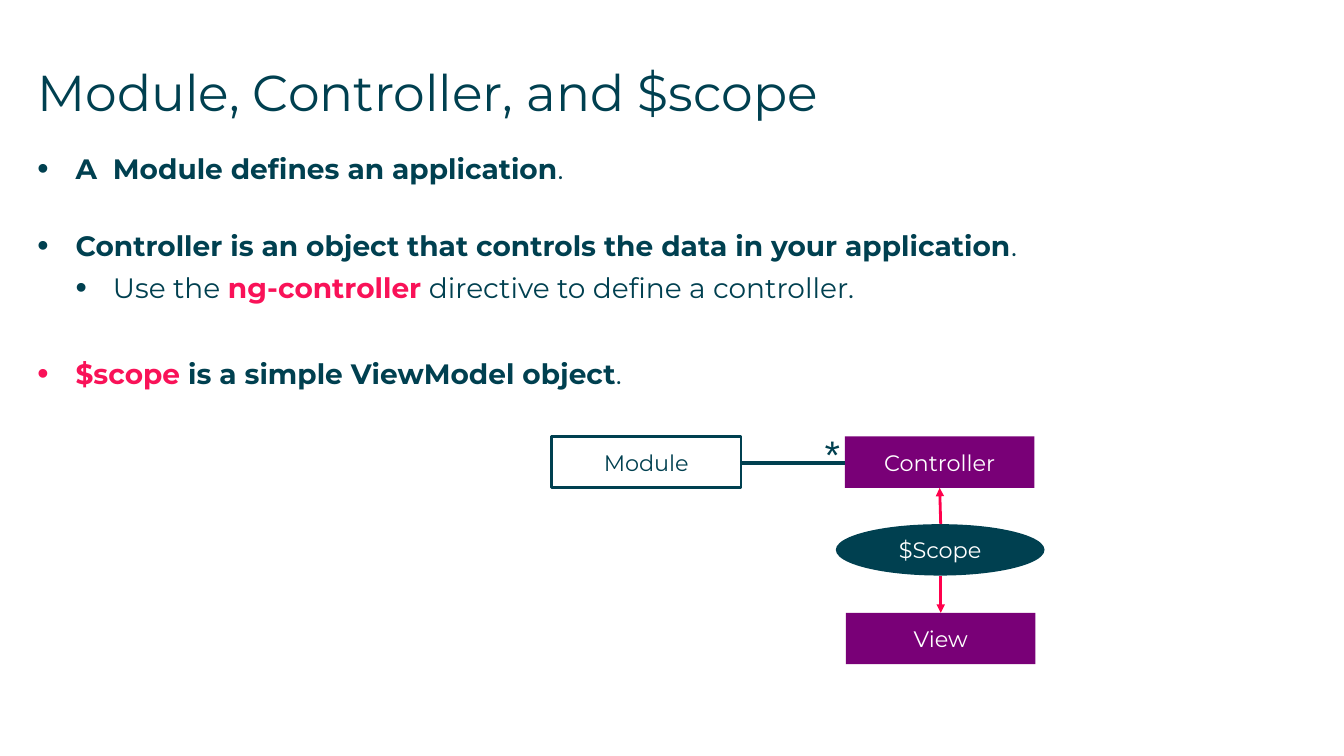
from dataclasses import dataclass

from lxml.etree import SubElement
from pptx import Presentation
from pptx.dml.color import RGBColor
from pptx.enum.shapes import MSO_CONNECTOR, MSO_SHAPE
from pptx.enum.text import MSO_ANCHOR, MSO_AUTO_SIZE, PP_ALIGN
from pptx.oxml.ns import qn
from pptx.util import Inches, Pt

COLORS = {"teal": "004050", "pink": "F91258", "arrow": "FF004C",
          "purple": "790077", "white": "FFFFFF"}
FONT = "Montserrat"


@dataclass
class Span:
    text: str
    bold: bool = False
    color: str = "teal"


@dataclass
class Bullet:
    spans: list[Span]
    indent: float = 0.38
    hanging: float = 0.38
    space_after: float = 6.5


@dataclass
class Node:
    label: str
    left: float
    top: float
    width: float = 1.88
    height: float = 0.51
    fill: str = "purple"
    text: str = "white"
    outline: str | None = None
    preset: MSO_SHAPE = MSO_SHAPE.RECTANGLE


@dataclass
class Link:
    start: tuple[float, float]
    end: tuple[float, float]
    color: str = "arrow"
    weight: float = 2
    arrow: bool = True


BULLETS = [
    Bullet([Span("A  Module defines an application", True), Span(".")], space_after=30.9),
    Bullet([Span("Controller is an object that controls the data in your application", True),
            Span(".")]),
    Bullet([Span("Use the "), Span("ng-controller", True, "pink"),
            Span(" directive to define a controller.")],
           indent=0.75, hanging=0.37, space_after=37.4),
    Bullet([Span("$scope ", True, "pink"), Span("is a simple ViewModel object", True),
            Span(".")]),
]
NODES = [
    Node("Module", 5.47, 4.33, fill="white", text="teal", outline="teal"),
    Node("Controller", 8.38, 4.33),
    Node("View", 8.39, 6.08),
    Node("$Scope", 8.29, 5.2, width=2.07, fill="teal", preset=MSO_SHAPE.OVAL),
]
LINKS = [
    Link((9.33, 5.2), (9.32, 4.84)),
    Link((9.33, 5.71), (9.33, 6.08)),
    Link((7.35, 4.59), (8.38, 4.59), color="teal", weight=3, arrow=False),
]


def rgb(name: str) -> RGBColor:
    return RGBColor.from_string(COLORS[name])


def add_run(paragraph, span: Span, size: float, font: str = FONT) -> None:
    run = paragraph.add_run()
    run.text = span.text
    run.font.name = font
    run.font.size = Pt(size)
    run.font.bold = span.bold
    run.font.color.rgb = rgb(span.color)


def clear_insets(frame) -> None:
    frame.margin_left = frame.margin_right = frame.margin_top = frame.margin_bottom = 0


def add_bullet(paragraph, bullet: Bullet) -> None:
    paragraph.space_after = Pt(bullet.space_after)
    props = paragraph._p.get_or_add_pPr()
    props.set("marL", str(Inches(bullet.indent)))
    props.set("indent", str(-Inches(bullet.hanging)))
    SubElement(props, qn("a:buSzPct"), val="115000")
    SubElement(props, qn("a:buFont"), typeface="Arial")
    SubElement(props, qn("a:buChar"), char="•")
    for span in bullet.spans:
        add_run(paragraph, span, 20)


def add_node(slide, node: Node) -> None:
    shape = slide.shapes.add_shape(node.preset, Inches(node.left), Inches(node.top),
                                   Inches(node.width), Inches(node.height))
    shape.shadow.inherit = False
    shape.fill.solid()
    shape.fill.fore_color.rgb = rgb(node.fill)
    if node.outline:
        shape.line.color.rgb = rgb(node.outline)
        shape.line.width = Pt(2)
    else:
        shape.line.fill.background()
    frame = shape.text_frame
    frame.vertical_anchor = MSO_ANCHOR.MIDDLE
    frame.paragraphs[0].alignment = PP_ALIGN.CENTER
    add_run(frame.paragraphs[0], Span(node.label, color=node.text), 16)


def add_link(slide, link: Link) -> None:
    ends = [Inches(value) for value in (*link.start, *link.end)]
    connector = slide.shapes.add_connector(MSO_CONNECTOR.STRAIGHT, *ends)
    connector.line.color.rgb = rgb(link.color)
    connector.line.width = Pt(link.weight)
    if link.arrow:
        SubElement(connector.line._get_or_add_ln(), qn("a:tailEnd"), type="triangle")
    SubElement(connector._element.spPr, qn("a:effectLst"))


def main() -> None:
    deck = Presentation()
    deck.slide_width, deck.slide_height = Inches(13.33), Inches(7.5)
    slide = deck.slides.add_slide(deck.slide_layouts[5])

    # Title
    title = slide.shapes.title
    title.left, title.top = Inches(0.37), Inches(0.61)
    title.width, title.height = Inches(12.6), Inches(0.88)
    heading = title.text_frame
    clear_insets(heading)
    heading.auto_size = MSO_AUTO_SIZE.NONE
    heading.vertical_anchor = MSO_ANCHOR.TOP
    heading.paragraphs[0].alignment = PP_ALIGN.LEFT
    add_run(heading.paragraphs[0], Span("Module, Controller, and $scope"), 36)

    # Definitions
    definitions = slide.shapes.add_textbox(
        Inches(0.37), Inches(1.5), Inches(12.59), Inches(2.14)).text_frame
    clear_insets(definitions)
    definitions.word_wrap = True
    for index, bullet in enumerate(BULLETS):
        add_bullet(definitions.add_paragraph() if index else definitions.paragraphs[0], bullet)

    # Diagram
    for node in NODES:
        add_node(slide, node)
    for link in LINKS:
        add_link(slide, link)

    # Multiplicity mark on the module-controller link
    multiplicity = slide.shapes.add_textbox(
        Inches(8.04), Inches(4.23), Inches(0.44), Inches(0.57)).text_frame
    multiplicity.word_wrap = False
    add_run(multiplicity.paragraphs[0], Span("*"), 28, "Courier New")

    deck.save("out.pptx")


if __name__ == "__main__":
    main()
